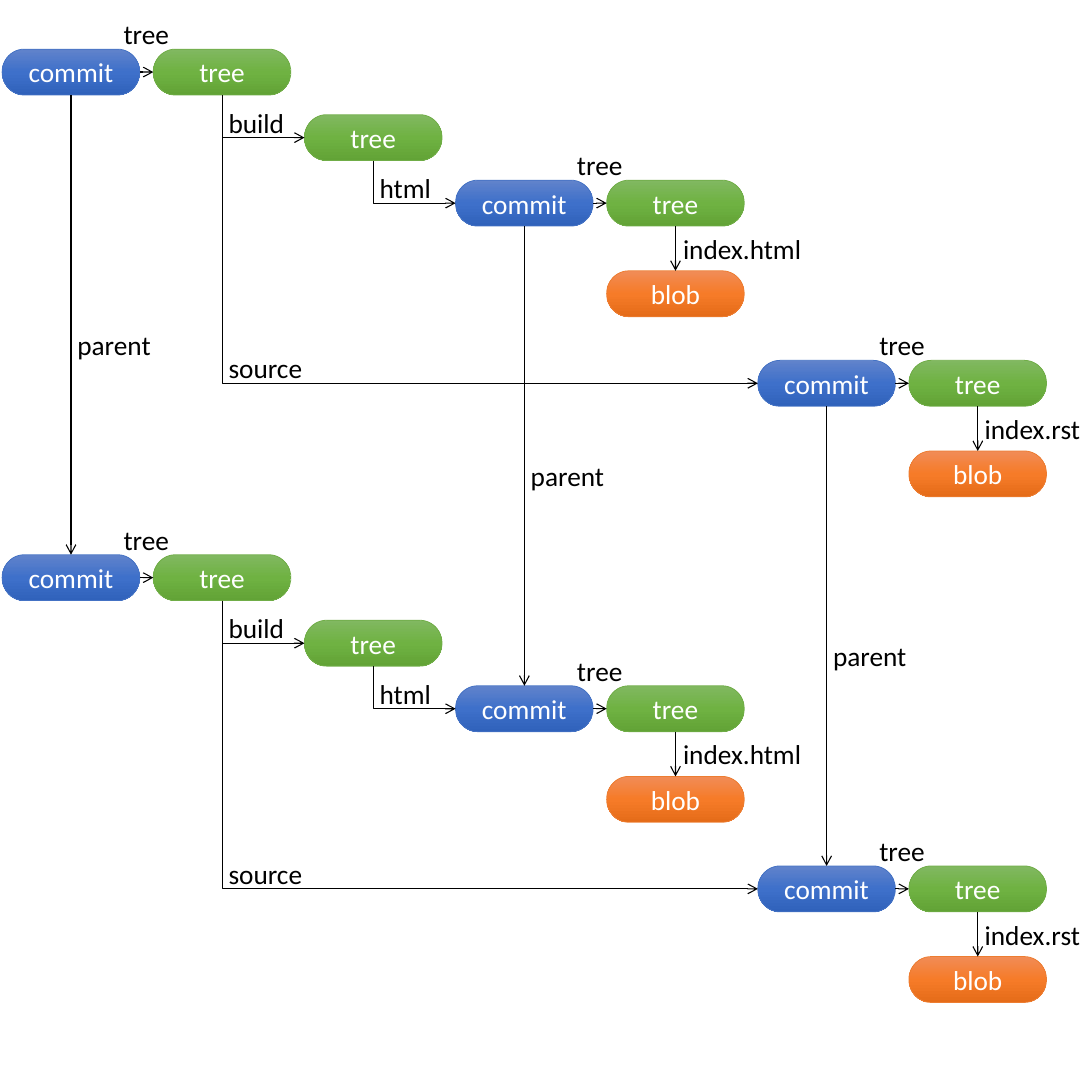
from copy import deepcopy

from pptx import Presentation
from pptx import util as u
from pptx.dml.color import RGBColor
from pptx.enum import shapes, text
from pptx.oxml import ns
from pptx.oxml.xmlchemy import OxmlElement

BLACK = RGBColor(0x00, 0x00, 0x00)
WHITE = RGBColor(0xFF, 0xFF, 0xFF)

# Outline, then gradient stops from top to bottom
OBJECT_COLOURS = {
    "commit": (RGBColor(0x44, 0x72, 0xC4), RGBColor(0x61, 0x83, 0xCB),
               RGBColor(0x3E, 0x70, 0xCA), RGBColor(0x30, 0x62, 0xBB)),
    "tree": (RGBColor(0x70, 0xAD, 0x47), RGBColor(0x81, 0xB8, 0x61),
             RGBColor(0x6F, 0xB2, 0x42), RGBColor(0x62, 0xA3, 0x36)),
    "blob": (RGBColor(0xED, 0x7D, 0x31), RGBColor(0xF1, 0x8C, 0x57),
             RGBColor(0xF6, 0x7B, 0x28), RGBColor(0xE5, 0x6C, 0x19)),
}
LABEL_WIDTHS = {"tree": 0.62, "build": 0.72, "html": 0.68, "source": 0.88,
                "index.html": 1.3, "index.rst": 1.08, "parent": 0.88}
CENTRED_LABELS = ("tree", "index.html", "index.rst")

# Grid of objects, in inches
LEFT, COLUMN_STEP = 0.02, 1.384
WIDTH, HEIGHT = 1.26, 0.42
REVISION_TOPS = (0.45, 5.08)
BUILD_DROP, HTML_DROP, SOURCE_DROP, BLOB_DROP = 0.6, 1.2, 2.85, 0.83

# Connection sites of a terminator shape
TOP, LEFT_SIDE, BOTTOM, RIGHT_SIDE = range(4)


class GraphSlide:
    """Draws the object graph in one style on the current slide."""

    font, size = "Calibri", u.Pt(18)

    def __init__(self, slide):
        self.slide = slide

    def add_words(self, frame, words, colour, align):
        paragraph = frame.paragraphs[0]
        paragraph.alignment = align
        run = paragraph.add_run()
        run.text = words
        run.font.name, run.font.size = self.font, self.size
        run.font.color.rgb = colour

    def node(self, kind, column, top):
        node = self.slide.shapes.add_shape(
            shapes.MSO_SHAPE.FLOWCHART_TERMINATOR,
            u.Inches(LEFT + column * COLUMN_STEP), u.Inches(top),
            u.Inches(WIDTH), u.Inches(HEIGHT))
        node.shadow.inherit = False
        outline, *shades = OBJECT_COLOURS[kind]
        node.line.color.rgb = outline
        node.line.width = u.Pt(0.5)
        node.fill.gradient()
        node.fill.gradient_angle = 270
        stops = node._element.spPr.find(".//" + ns.qn("a:gsLst"))
        stops.insert(1, deepcopy(stops[0]))
        for stop, shade, position in zip(node.fill.gradient_stops, shades, (0, 0.5, 1)):
            stop.color.rgb = shade
            stop.position = position
        node.text_frame.vertical_anchor = text.MSO_ANCHOR.MIDDLE
        self.add_words(node.text_frame, kind, WHITE, text.PP_ALIGN.CENTER)
        return node

    def label(self, words, left, top):
        label = self.slide.shapes.add_textbox(
            left, top, u.Inches(LABEL_WIDTHS[words]), u.Inches(0.4))
        label.text_frame.word_wrap = False
        label.text_frame.auto_size = text.MSO_AUTO_SIZE.SHAPE_TO_FIT_TEXT
        centred = words in CENTRED_LABELS
        self.add_words(label.text_frame, words, BLACK,
                       text.PP_ALIGN.CENTER if centred else text.PP_ALIGN.LEFT)

    def arrow(self, source, source_site, target, target_site,
              kind=shapes.MSO_CONNECTOR.STRAIGHT):
        arrow = self.slide.shapes.add_connector(kind, 0, 0, 0, 0)
        arrow.begin_connect(source, source_site)
        arrow.end_connect(target, target_site)
        arrow.line.color.rgb = BLACK
        arrow.line.width = u.Pt(0.75)
        head = OxmlElement("a:tailEnd")
        head.set("type", "arrow")
        arrow.line._get_or_add_ln().append(head)
        arrow._element.spPr.append(OxmlElement("a:effectLst"))
        return arrow

    def across(self, commit, tree):
        """Commit to the tree on its right, labelled above the gap."""
        self.arrow(commit, RIGHT_SIDE, tree, LEFT_SIDE)
        self.label("tree", commit.left + u.Inches(1.01), commit.top - u.Inches(0.34))

    def down(self, words, source, target, rise):
        """Straight down, with the label beside the middle of the arrow."""
        arrow = self.arrow(source, BOTTOM, target, TOP)
        middle = (arrow.begin_y + arrow.end_y) // 2
        self.label(words, arrow.begin_x - u.Inches(0.04), middle - u.Inches(rise))

    def branch(self, words, source, target):
        """Down, then right into the target, with the label on the corner."""
        arrow = self.arrow(source, BOTTOM, target, LEFT_SIDE, shapes.MSO_CONNECTOR.ELBOW)
        x, y = arrow.begin_x, arrow.begin_y
        across, drop = arrow.end_x - x, arrow.end_y - y
        self.label(words, x - u.Inches(0.04), y + drop - u.Inches(0.34))
        # A one-corner elbow is stored turned by 270 degrees and flipped
        arrow.left, arrow.top = x + (across - drop) // 2, y + (drop - across) // 2
        arrow.width, arrow.height = drop, across
        outline = arrow._element.spPr
        outline.find(ns.qn("a:prstGeom")).set("prst", "bentConnector2")
        turn = outline.find(ns.qn("a:xfrm"))
        turn.set("rot", "16200000")
        turn.set("flipH", "1")

    def content(self, column, top, filename):
        """A nested commit with its tree and the blob in that tree."""
        commit = self.node("commit", column, top)
        tree = self.node("tree", column + 1, top)
        blob = self.node("blob", column + 1, top + BLOB_DROP)
        self.across(commit, tree)
        self.down(filename, tree, blob, 0.2)
        return commit

    def revision(self, top):
        """One top-level commit and all it holds; returns its three commits."""
        commit = self.node("commit", 0, top)
        root = self.node("tree", 1, top)
        build = self.node("tree", 2, top + BUILD_DROP)
        html = self.content(3, top + HTML_DROP, "index.html")
        source = self.content(5, top + SOURCE_DROP, "index.rst")
        self.across(commit, root)
        self.branch("build", root, build)
        self.branch("html", build, html)
        self.branch("source", root, source)
        return commit, html, source


def main():
    deck = Presentation()
    deck.slide_width = deck.slide_height = u.Inches(10)
    graph = GraphSlide(deck.slides.add_slide(deck.slide_layouts[6]))

    # Two revisions, newest first
    newer, older = [graph.revision(top) for top in REVISION_TOPS]

    # Each commit points to its parent
    for child, parent in zip(newer, older):
        graph.down("parent", child, parent, 0.02)

    deck.save("out.pptx")


if __name__ == "__main__":
    main()
